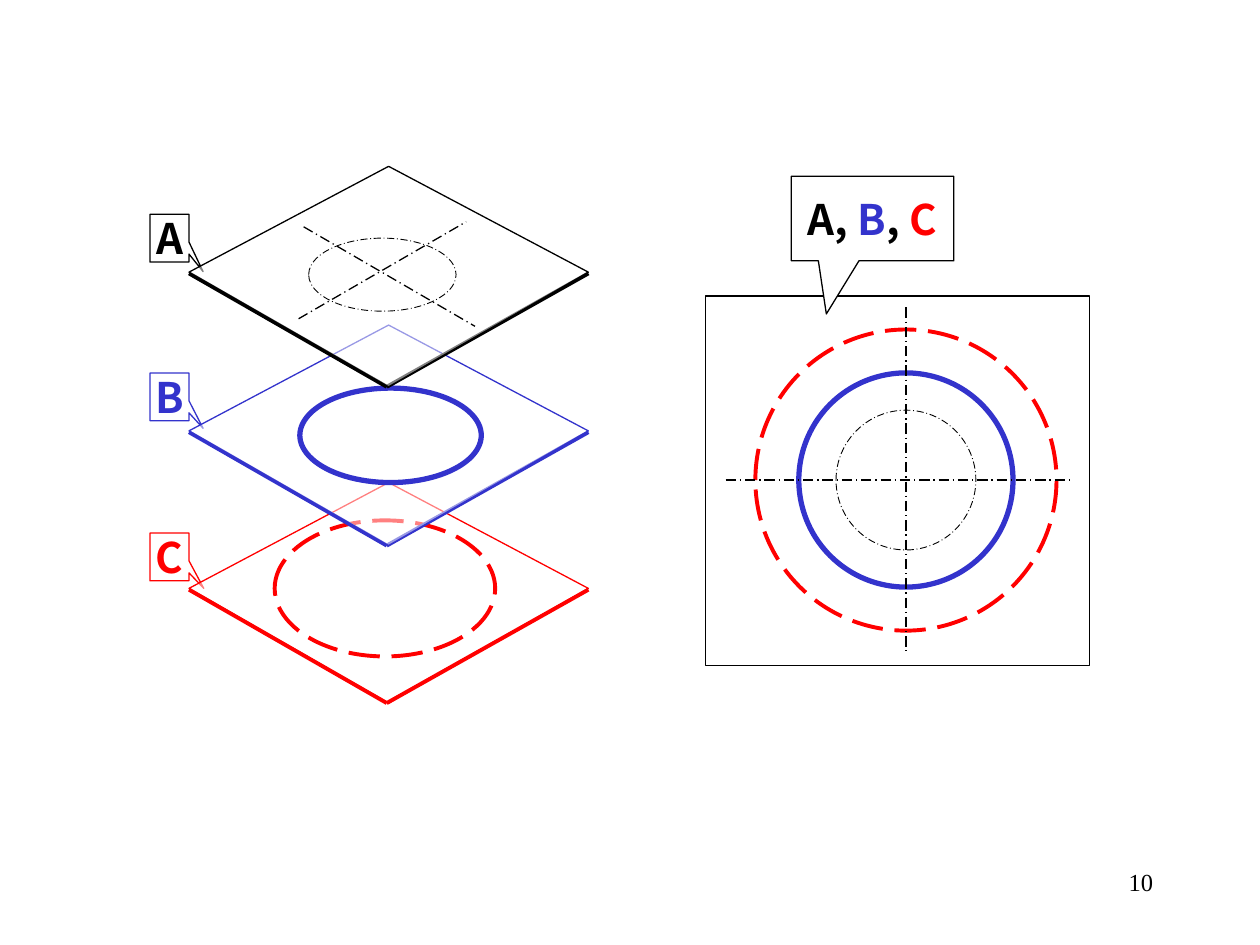
from dataclasses import dataclass

from lxml import etree
from pptx import Presentation
from pptx.dml.color import RGBColor
from pptx.enum.dml import MSO_LINE
from pptx.enum.shapes import MSO_CONNECTOR, MSO_SHAPE
from pptx.enum.text import MSO_ANCHOR, PP_ALIGN
from pptx.oxml.ns import qn
from pptx.util import Inches, Pt

LINE = MSO_CONNECTOR.STRAIGHT
OVAL, RECT = MSO_SHAPE.OVAL, MSO_SHAPE.RECTANGLE
CALLOUT = MSO_SHAPE.RECTANGULAR_CALLOUT
DASH, DASH_DOT = MSO_LINE.LONG_DASH, MSO_LINE.LONG_DASH_DOT
MIDDLE = MSO_ANCHOR.MIDDLE
CENTER, RIGHT = PP_ALIGN.CENTER, PP_ALIGN.RIGHT


@dataclass(frozen=True)
class Theme:
    black: RGBColor = RGBColor(0, 0, 0)
    blue: RGBColor = RGBColor(0x33, 0x33, 0xCC)
    red: RGBColor = RGBColor(0xFF, 0, 0)
    white: RGBColor = RGBColor(0xFF, 0xFF, 0xFF)
    label_font: str = "Noto Sans CJK SC"
    page_font: str = "Times New Roman"
    label_size: int = 24
    page_size: int = 14
    hair: float = 0.5
    thin: float = 0.75
    bold: float = 2.25
    heavy: float = 3


THEME = Theme()
# Outline of the circle on each layer: colour, width, dash
RING = {
    "A": (THEME.black, THEME.hair, DASH_DOT),
    "B": (THEME.blue, THEME.heavy, None),
    "C": (THEME.red, THEME.bold, DASH),
}


def stroke(item, color, width, dash=None):
    item.line.color.rgb = color
    item.line.width = Pt(width)
    if dash:
        item.line.dash_style = dash


def paint(shape, clear):
    """Fill white, half transparent if clear."""
    shape.fill.solid()
    shape.fill.fore_color.rgb = THEME.white
    if clear:
        color = shape._element.spPr.find(qn("a:solidFill"))[0]
        etree.SubElement(color, qn("a:alpha"), val="50000")


def add_line(slide, start, end, color, width, dash=None):
    line = slide.shapes.add_connector(LINE, *map(Inches, start + end))
    stroke(line, color, width, dash)
    etree.SubElement(line._element.spPr, qn("a:effectLst"))


def add_ring(slide, name, box):
    ring = slide.shapes.add_shape(OVAL, *map(Inches, box))
    ring.shadow.inherit = False
    ring.fill.background()
    stroke(ring, *RING[name])


def add_label(slide, box, tip, runs, color, clear=False):
    """Callout pointing at tip, with (text, colour) runs."""
    label = slide.shapes.add_shape(CALLOUT, *map(Inches, box))
    label.shadow.inherit = False
    label.adjustments[0], label.adjustments[1] = tip
    paint(label, clear)
    stroke(label, color, THEME.thin)
    frame = label.text_frame
    frame.word_wrap = False
    frame.vertical_anchor = MIDDLE
    para = frame.paragraphs[0]
    para.alignment = CENTER
    para.font.name = THEME.label_font
    para.font.size = Pt(THEME.label_size)
    para.font.bold = True
    for text, tint in runs:
        run = para.add_run()
        run.text = text
        run.font.color.rgb = tint


def add_edges(slide, box, color):
    x, y, w, h = box
    left, tip, right = (x, y + 0.85), (x + 1.57, y + h), (x + w, y + 0.85)
    add_line(slide, left, tip, color, THEME.bold)
    add_line(slide, tip, right, color, THEME.bold)


def add_sheet(slide, box, color):
    x, y, w, h = box
    mid, side = x + w / 2, y + 0.84
    points = [(mid, y), (x + w, side), (mid, y + h)]
    builder = slide.shapes.build_freeform(Inches(x), Inches(side))
    builder.add_line_segments([tuple(map(Inches, p)) for p in points], close=True)
    sheet = builder.convert_to_shape()
    sheet.shadow.inherit = False
    paint(sheet, clear=True)
    stroke(sheet, color, THEME.thin)


def add_layer(slide, name, box, ring, drop, tip, front=False):
    """Tilted sheet; front puts its thick edges on top and a solid label."""
    x, y = box[:2]
    color = RING[name][0]
    if not front:
        add_edges(slide, box, color)
    add_label(slide, (x - 0.31, y + drop, 0.31, 0.38), tip,
              [(name, color)], color, clear=not front)
    add_sheet(slide, box, color)
    dx, dy, w, h = ring
    add_ring(slide, name, (x + dx, y + dy, w, h))
    if front:
        add_edges(slide, box, color)


def add_stack(slide, x, y):
    w, h = 3.17, 1.75
    add_layer(slide, "C", (x, y + 2.51, w, h), (0.68, 0.3, 1.75, 1.08),
              0.4, (0.878, 0.657), front=True)
    add_layer(slide, "B", (x, y + 1.26, w, h), (0.88, 0.5, 1.44, 0.75),
              0.38, (0.861, 0.657))
    add_layer(slide, "A", (x, y, w, h), (0.95, 0.57, 1.17, 0.58),
              0.38, (0.861, 0.699))
    for start, end in (((0.87, 1.21), (2.2, 0.44)), ((0.91, 0.48), (2.27, 1.27))):
        add_line(slide, (x + start[0], y + start[1]), (x + end[0], y + end[1]),
                 THEME.black, THEME.thin, DASH_DOT)


def add_plan(slide, x, y, w, h):
    """All layers seen from above."""
    frame = slide.shapes.add_shape(RECT, *map(Inches, (x, y, w, h)))
    frame.shadow.inherit = False
    paint(frame, clear=False)
    stroke(frame, THEME.black, THEME.thin)
    cx, cy = x + 1.59, y + 1.46
    for name, size in (("C", 2.39), ("B", 1.7), ("A", 1.11)):
        add_ring(slide, name, (cx - size / 2, cy - size / 2, size, size))
    add_label(slide, (x + 0.68, y - 0.95, 1.29, 0.67), (-0.284, 1.13),
              [("A, ", THEME.black), ("B", THEME.blue),
               (", ", THEME.black), ("C", THEME.red)], THEME.black)
    for start, end in (((x + 0.16, cy), (x + 2.92, cy)),
                       ((cx, y + 0.09), (cx, y + 2.82))):
        add_line(slide, start, end, THEME.black, THEME.thin, DASH_DOT)


def add_page(slide, box, text):
    para = slide.shapes.add_textbox(*map(Inches, box)).text_frame.paragraphs[0]
    para.text = text
    para.alignment = RIGHT
    para.font.name = THEME.page_font
    para.font.size = Pt(THEME.page_size)
    para.font.color.rgb = THEME.black


def main():
    deck = Presentation()
    deck.slide_width, deck.slide_height = Inches(10), Inches(7.5)
    slide = deck.slides.add_slide(deck.slide_layouts[6])
    add_page(slide, (7.17, 6.83, 2.08, 0.5), "10")
    add_stack(slide, 1.5, 1.32)
    add_plan(slide, 5.6, 2.35, 3.05, 2.93)
    deck.save("out.pptx")


if __name__ == "__main__":
    main()
